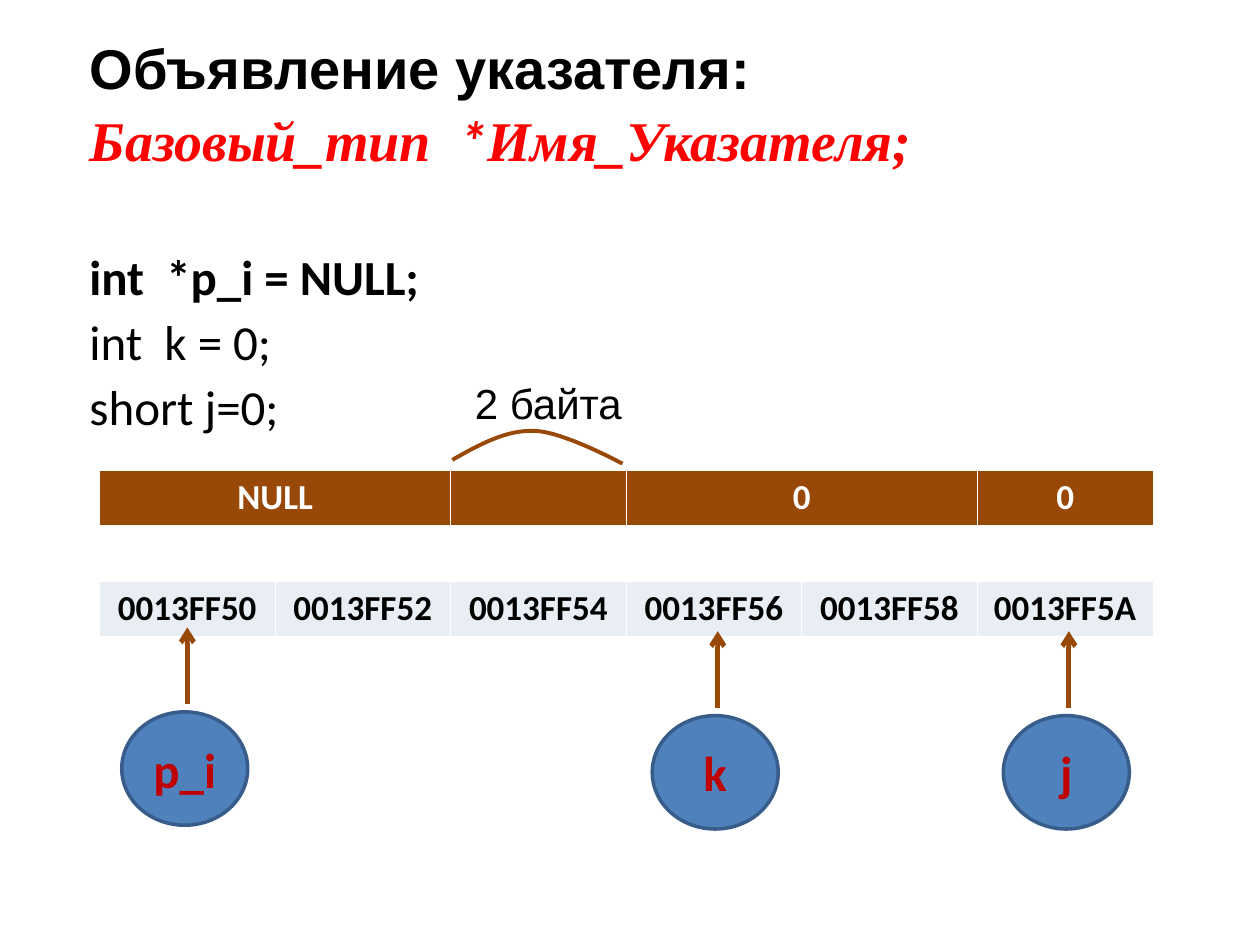
from dataclasses import dataclass

from lxml.etree import SubElement as Sub
from pptx import Presentation
from pptx.dml.color import RGBColor as RGB
from pptx.enum.shapes import MSO_CONNECTOR as Link, MSO_SHAPE as Kind
from pptx.enum.text import MSO_ANCHOR as Anchor, MSO_AUTO_SIZE as Fit, PP_ALIGN as Align
from pptx.oxml.ns import qn
from pptx.util import Inches, Pt


@dataclass(frozen=True)
class Theme:
    black: str = "000000"
    white: str = "FFFFFF"
    red: str = "FF0000"
    dark: str = "C00000"
    brown: str = "984807"
    pale: str = "E9EDF4"
    blue: str = "4F81BD"
    edge: str = "385D8A"
    head: int = 32
    code: int = 28
    note: int = 24
    cell: int = 20
    sans: str = "Arial"
    serif: str = "Times New Roman"
    body: str = "Calibri"


T = Theme()
LEFT, TOP = 0.79, 3.73
COL, ROW = 8.36 / 6, 0.44


def style(run, size, face, color, bold=False, italic=False):
    font = run.font
    font.size, font.name = Pt(size), face
    font.bold, font.italic = bold, italic
    font.color.rgb = RGB.from_string(color)


def place(shape, x, y, w, h):
    shape.left, shape.top = Inches(x), Inches(y)
    shape.width, shape.height = Inches(w), Inches(h)
    frame = shape.text_frame
    frame.auto_size, frame.word_wrap = Fit.NONE, True
    frame.vertical_anchor = Anchor.TOP
    return frame


def add_title(slide, text):
    para = place(slide.shapes.title, 0.61, 0.28, 8.71, 0.57).paragraphs[0]
    para.text = text
    para.alignment, para.line_spacing = Align.LEFT, 0.9
    style(para.runs[0], T.head, T.sans, T.black, True)


def add_body(slide, lines):
    frame = place(slide.placeholders[1], 0.61, 0.85, 8.71, 5.8)
    for i, (gap, runs) in enumerate(lines):
        para = frame.add_paragraph() if i else frame.paragraphs[0]
        props = para._p.get_or_add_pPr()
        props.set("marL", "0")
        props.set("indent", "0")
        Sub(props, qn("a:buNone"))
        para.line_spacing, para.space_before = 0.9, Pt(gap)
        for text, *look in runs:
            run = para.add_run()
            run.text = text
            style(run, *look)


def add_edges(cell):
    props = cell._tc.get_or_add_tcPr()
    for i, side in enumerate("LRTB"):
        line = Sub(props, qn(f"a:ln{side}"), w=str(Pt(0.45)))
        fill = Sub(line, qn("a:solidFill"))
        Sub(fill, qn("a:srgbClr"), val=T.white)
        props.insert(i, line)


def add_memory(slide, rows, fills, inks, spans):
    shape = slide.shapes.add_table(
        len(rows), len(rows[0]), Inches(LEFT), Inches(TOP),
        Inches(COL * len(rows[0])), Inches(ROW * len(rows)))
    table = shape.table
    table.first_row = table.horz_banding = False
    for r, texts in enumerate(rows):
        table.rows[r].height = Inches(ROW)
        for c, text in enumerate(texts):
            cell = table.cell(r, c)
            cell.fill.solid()
            cell.fill.fore_color.rgb = RGB.from_string(fills[r])
            add_edges(cell)
            if text:
                para = cell.text_frame.paragraphs[0]
                para.text, para.alignment = text, Align.CENTER
                style(para.runs[0], T.cell, T.body, inks[r], True)
    for c in spans:
        table.cell(0, c).merge(table.cell(0, c + 1))


def bezier(a, b, c, d, steps=16):
    for i in range(1, steps + 1):
        t = i / steps
        u = 1 - t
        yield tuple(Inches(u**3 * p + 3 * u * u * t * q + 3 * u * t * t * r + t**3 * s)
                    for p, q, r, s in zip(a, b, c, d))


def add_arc(slide, start, *curves):
    dots, last = [], start
    for one, two, end in curves:
        dots += bezier(last, one, two, end)
        last = end
    pen = slide.shapes.build_freeform(Inches(start[0]), Inches(start[1]))
    pen.add_line_segments(dots, close=False)
    arc = pen.convert_to_shape()
    arc.shadow.inherit = False
    arc.fill.background()
    arc.line.color.rgb, arc.line.width = RGB.from_string(T.brown), Pt(2.25)


def add_note(slide, text, x, y, w, h):
    frame = place(slide.shapes.add_textbox(0, 0, 0, 0), x, y, w, h)
    frame.text = text
    style(frame.paragraphs[0].runs[0], T.note, T.sans, T.black)


def add_arrow(slide, x, low, high):
    link = slide.shapes.add_connector(
        Link.STRAIGHT, Inches(x), Inches(low), Inches(x), Inches(high))
    link.line.color.rgb, link.line.width = RGB.from_string(T.brown), Pt(2.75)
    Sub(link.line._get_or_add_ln(), qn("a:tailEnd"), type="arrow")
    Sub(link._element.spPr, qn("a:effectLst"))


def add_name(slide, text, col, shift):
    x = LEFT + COL * (col + 0.5) + shift
    oval = slide.shapes.add_shape(Kind.OVAL, 0, 0, 0, 0)
    oval.shadow.inherit = False
    oval.fill.solid()
    oval.fill.fore_color.rgb = RGB.from_string(T.blue)
    oval.line.color.rgb, oval.line.width = RGB.from_string(T.edge), Pt(2)
    frame = place(oval, x - 0.52, 5.65 + shift, 1, 0.9)
    frame.vertical_anchor = Anchor.MIDDLE
    para = frame.paragraphs[0]
    para.text, para.alignment = text, Align.CENTER
    style(para.runs[0], T.code, T.body, T.dark, True)
    add_arrow(slide, x, 5.59 + shift, 4.98 + shift)


def main():
    deck = Presentation()
    deck.slide_width, deck.slide_height = Inches(10), Inches(7.5)
    slide = deck.slides.add_slide(deck.slide_layouts[1])
    add_title(slide, "Объявление указателя:")
    plain = (T.code, T.body, T.black)
    add_body(slide, [
        (0, [("Базовый_тип  ", T.head, T.serif, T.red, True, True),
             ("*", T.head, T.body, T.red, True, True),
             ("Имя_Указателя;", T.head, T.serif, T.red, True, True)]),
        (45, [("int  *p_i = NULL;", *plain, True)]),
        (7, [("int  k = 0;", *plain)]),
        (7, [("short j=0;", *plain)]),
    ])
    add_memory(
        slide,
        [("NULL", "", "", "0", "", "0"), ("",) * 6,
         [f"0013FF{n:X}" for n in range(0x50, 0x5C, 2)]],
        (T.brown, T.white, T.pale), (T.white, T.black, T.black), (0, 3))
    add_arc(slide, (3.59, 3.65),
            ((3.8, 3.53), (4.02, 3.41), (4.24, 3.42)),
            ((4.46, 3.42), (4.94, 3.68), (4.94, 3.68)))
    add_note(slide, "2 байта", 3.67, 2.95, 1.51, 0.5)
    for text, col, shift in (("p_i", 0, 0), ("k", 3, 0.03), ("j", 5, 0.03)):
        add_name(slide, text, col, shift)
    deck.save("out.pptx")


if __name__ == "__main__":
    main()
